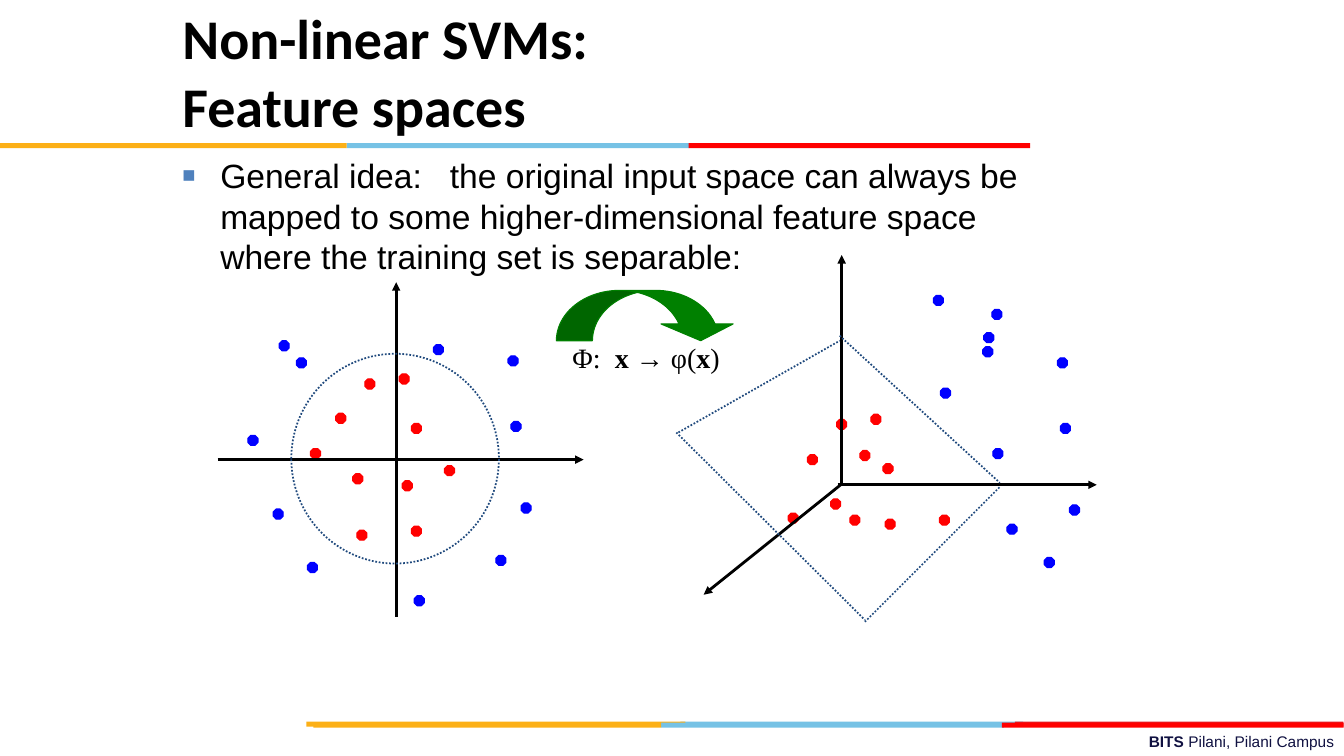
from typing import NamedTuple

import lxml.etree
import pptx
import pptx.dml.color
import pptx.enum.dml
import pptx.enum.shapes
import pptx.enum.text
import pptx.oxml
import pptx.oxml.ns
import pptx.util

Pt = pptx.util.Pt
RGBColor = pptx.dml.color.RGBColor
SHAPE = pptx.enum.shapes.MSO_SHAPE
ALIGN = pptx.enum.text.PP_ALIGN
ANCHOR = pptx.enum.text.MSO_ANCHOR
qn = pptx.oxml.ns.qn

BLACK = RGBColor(0x00, 0x00, 0x00)
RED = RGBColor(0xFF, 0x00, 0x00)
BLUE = RGBColor(0x00, 0x00, 0xFF)
GREEN = RGBColor(0x00, 0x80, 0x00)
NAVY = RGBColor(0x1F, 0x49, 0x7D)
INK = RGBColor(0x10, 0x11, 0x41)
GOLD = RGBColor(0xFC, 0xB0, 0x17)
SKY = RGBColor(0x76, 0xC2, 0xE5)
BRICK = RGBColor(0xE3, 0x1C, 0x24)
STEEL = RGBColor(0x4F, 0x81, 0xBD)

DOT = 7.2
BAR = 3.6


class Run(NamedTuple):
    text: str
    bold: bool = False
    gap: float = 0


class Bar(NamedTuple):
    left: float
    top: float
    width: float
    color: RGBColor


class Line(NamedTuple):
    x1: float
    y1: float
    x2: float
    y2: float


class Cloud(NamedTuple):
    color: RGBColor
    spots: list[tuple[float, float]]


BARS = [
    Bar(486, 515.5, 244.8, SKY), Bar(725, 515.5, 234.7, BRICK), Bar(218.9, 515.5, 270.7, GOLD),
    Bar(472.3, 516.2, 244.8, SKY), Bar(223.9, 516.2, 248.4, GOLD), Bar(715.7, 516.2, 244.1, RED),
    Bar(247.7, 102.2, 244.8, SKY), Bar(0, 102.2, 247.7, GOLD), Bar(491.8, 102.2, 244.1, RED),
]

AXES = [
    Line(283, 440.6, 283, 201.6), Line(155.5, 328.3, 416.9, 328.3),
    Line(601.2, 344.9, 601.2, 182.2), Line(598.3, 346.3, 783.4, 346.3),
    Line(600.5, 346.3, 502.6, 424.8),
]

PLANE = [
    Line(599.8, 239.8, 714.2, 344.9), Line(617.8, 444.2, 714.2, 347.8),
    Line(484.6, 308.9, 599.8, 243.4), Line(483.1, 308.9, 617.8, 442.8),
]

CLOUDS = [
    Cloud(RED, [
        (285.1, 267.1), (239.8, 295.2), (252, 338.4), (293.8, 375.8), (260.6, 270.7),
        (221.8, 320.4), (254.9, 378.7), (293.8, 302.4), (317.5, 332.6), (287.3, 343.4),
        (622.1, 295.9), (576.7, 324.7), (607, 367.9), (671, 367.9), (597.6, 299.5),
        (614.2, 321.8), (632.2, 370.8), (630.7, 331.2), (593.3, 356.4), (563, 366.5),
    ]),
    Cloud(BLUE, [
        (365, 301), (354.2, 396.7), (177.1, 311), (295.9, 425.5), (372.2, 359.3),
        (219.6, 401.8), (195.1, 363.6), (199.4, 243.4), (309.6, 246.2), (211.7, 255.6),
        (362.9, 254.2), (757.4, 302.4), (745.9, 398.2), (708.5, 221), (709.2, 320.4),
        (763.9, 360.7), (671.8, 277.2), (719.3, 374.4), (702.7, 237.6), (702, 247.7),
        (666.7, 211), (755.3, 255.6),
    ]),
]


def place(box, left: float, top: float, width: float, height: float):
    box.left, box.top, box.width, box.height = Pt(left), Pt(top), Pt(width), Pt(height)
    return box


def write(box, rows: list[list[Run]], *, size: float, font: str, color: RGBColor = BLACK,
          align=ALIGN.LEFT, anchor=ANCHOR.TOP, bullet: str = "") -> None:
    frame = box.text_frame
    frame.word_wrap = True
    frame.auto_size = pptx.enum.text.MSO_AUTO_SIZE.NONE
    frame.vertical_anchor = anchor
    for i, row in enumerate(rows):
        para = frame.add_paragraph() if i else frame.paragraphs[0]
        if bullet:
            mark(para, bullet)
        para.alignment = align
        para.space_before = Pt(0)
        para.font.size = Pt(size)
        for part in row:
            run = para.add_run()
            run.text = part.text
            run.font.size, run.font.name, run.font.bold = Pt(size), font, part.bold
            run.font.color.rgb = color
            if part.gap:
                run.font._element.set("spc", str(round(part.gap * 100)))


def mark(para, sign: str) -> None:
    props = para._p.get_or_add_pPr()
    props.set("marL", str(Pt(27)))
    props.set("indent", str(-Pt(27)))
    tint = lxml.etree.SubElement(props, qn("a:buClr"))
    lxml.etree.SubElement(tint, qn("a:srgbClr"), val=str(STEEL))
    lxml.etree.SubElement(props, qn("a:buSzPct"), val="65000")
    lxml.etree.SubElement(props, qn("a:buFont"), typeface="Arial")
    lxml.etree.SubElement(props, qn("a:buChar"), char=sign)


def draw(slide, kind, left: float, top: float, width: float, height: float,
         fill: RGBColor | None = None, edge: RGBColor | None = None, weight: float = 0.75):
    shape = slide.shapes.add_shape(kind, Pt(left), Pt(top), Pt(width), Pt(height))
    shape.shadow.inherit = False
    if fill is None:
        shape.fill.background()
    else:
        shape.fill.solid()
        shape.fill.fore_color.rgb = fill
    if edge is None:
        shape.line.fill.background()
    else:
        shape.line.color.rgb = edge
        shape.line.width = Pt(weight)
    return shape


def dash(line) -> None:
    line.dash_style = pptx.enum.dml.MSO_LINE.ROUND_DOT


def join(slide, line: Line, color: RGBColor, weight: float, arrow: bool) -> None:
    link = slide.shapes.add_connector(
        pptx.enum.shapes.MSO_CONNECTOR.STRAIGHT, *(Pt(value) for value in line))
    link.line.color.rgb = color
    link.line.width = Pt(weight)
    if arrow:
        lxml.etree.SubElement(link.line._get_or_add_ln(), qn("a:tailEnd"), type="triangle")
    else:
        dash(link.line)
    lxml.etree.SubElement(link._element.spPr, qn("a:effectLst"))


def main() -> None:
    deck = pptx.Presentation()
    deck.slide_width, deck.slide_height = Pt(960), Pt(540)
    slide = deck.slides.add_slide(deck.slide_layouts[1])

    title = place(slide.shapes.title, 123.1, 20.9, 612, 59.8)
    write(title, [[Run("Non-linear SVMs:", True)], [Run("Feature spaces", True)]],
          size=40, font="Calibri", anchor=ANCHOR.MIDDLE)
    body = place(slide.placeholders[1], 123.1, 107.3, 648, 396)
    write(body, [[
        Run("General idea:"), Run(" ", gap=13.3),
        Run("the original input space can always be mapped to some "
            "higher-dimensional feature space where the training set is separable:"),
    ]], size=24, font="Arial", bullet="■")

    for bar in BARS:
        draw(slide, SHAPE.RECTANGLE, bar.left, bar.top, bar.width, BAR, bar.color)
    foot = slide.shapes.add_textbox(Pt(344.2), Pt(519.1), Pt(616), Pt(20.9))
    write(foot, [[Run("BITS ", True), Run("Pilani, Pilani Campus")]],
          size=11, font="Arial", color=INK, align=ALIGN.RIGHT)

    for cloud in CLOUDS:
        for left, top in cloud.spots:
            draw(slide, SHAPE.OCTAGON, left, top, DOT, DOT, cloud.color, cloud.color)
    for axis in AXES:
        join(slide, axis, BLACK, 2, True)
    ring = draw(slide, SHAPE.OVAL, 208.1, 252.7, 148.3, 149.8, edge=NAVY, weight=1.25)
    dash(ring.line)
    for side in PLANE:
        join(slide, side, NAVY, 1.25, False)

    arrow = draw(slide, SHAPE.CURVED_DOWN_ARROW, 397.4, 207.4, 128.9, 36, GREEN, GREEN)
    for i, value in enumerate((0.717, 1.433, 0.333)):
        arrow.adjustments[i] = value
    phi = slide.shapes.add_textbox(Pt(401.8), Pt(239.8), Pt(149.8), Pt(31))
    write(phi, [[Run("Φ:"), Run(" ", gap=5), Run("x → ", True), Run("φ("),
                 Run("x", True), Run(")")]], size=20, font="Times New Roman")

    deck.save("out.pptx")


if __name__ == "__main__":
    main()
